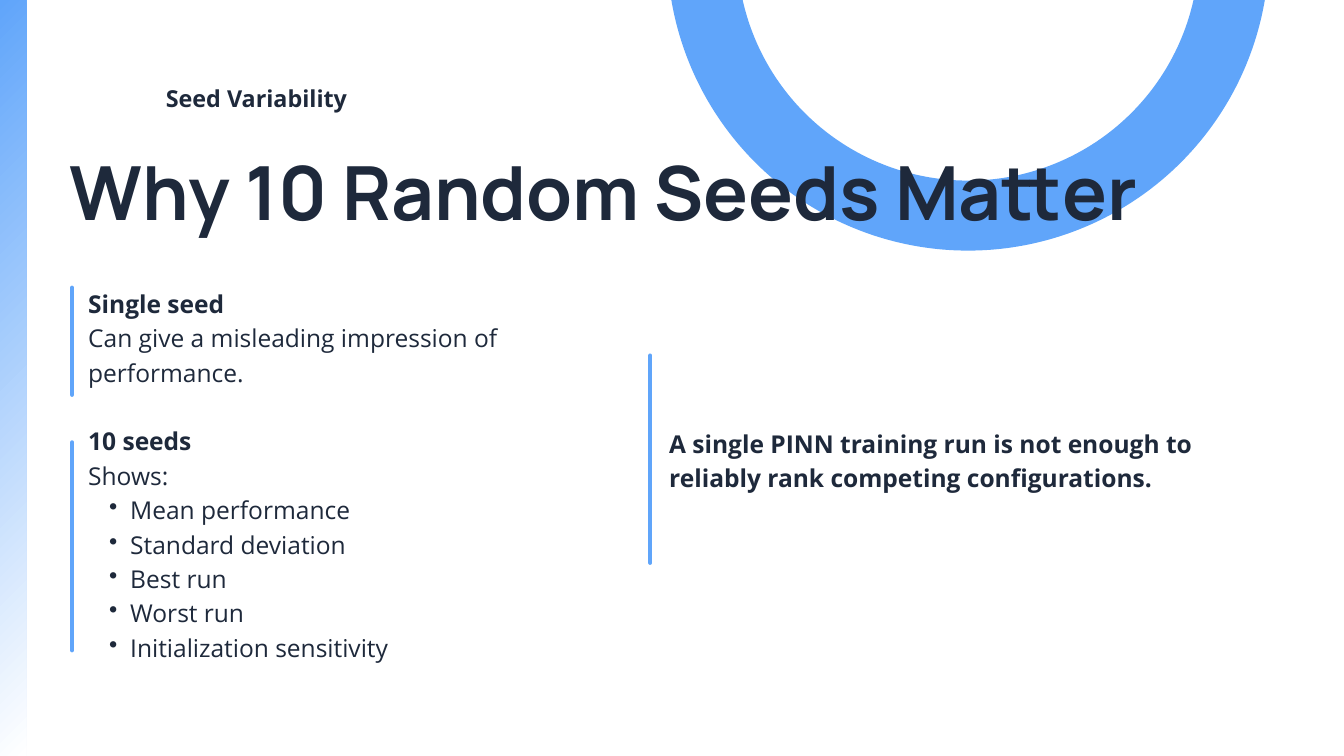
from dataclasses import dataclass

from lxml import etree
from pptx import Presentation
from pptx.dml.color import RGBColor
from pptx.enum.shapes import MSO_CONNECTOR, MSO_SHAPE
from pptx.enum.text import MSO_ANCHOR, PP_ALIGN
from pptx.oxml.ns import qn
from pptx.slide import Slide
from pptx.util import Emu, Pt

STRAIGHT = MSO_CONNECTOR.STRAIGHT
RECTANGLE = MSO_SHAPE.RECTANGLE
OVAL = MSO_SHAPE.OVAL
TOP = MSO_ANCHOR.TOP
LEFT = PP_ALIGN.LEFT

EMU_PER_PX = 9525
SLIDE_WIDTH, SLIDE_HEIGHT = 1920, 1080
BULLET_INDENT, BULLET_HANG = 60, 30

BLUE, WHITE, INK = "60A5FA", "FFFFFF", "1E293B"
HEADING_FONT, BODY_FONT = "Manrope", "Open Sans"


@dataclass(frozen=True)
class Style:
    font: str
    size: float
    line_spacing: float


@dataclass(frozen=True)
class Line:
    text: str
    bold: bool = False
    bullet: bool = False
    space_before: float = 0


@dataclass(frozen=True)
class TextBlock:
    left: int
    top: int
    width: int
    height: int
    style: Style
    lines: tuple[Line, ...]


@dataclass(frozen=True)
class Rule:
    x: int
    top: int
    bottom: int


EYEBROW = Style(BODY_FONT, 25, 35)
TITLE = Style(HEADING_FONT, 80, 78.4)
BODY = Style(BODY_FONT, 26.3, 36.8)

BULLETS = (
    "Mean performance",
    "Standard deviation",
    "Best run",
    "Worst run",
    "Initialization sensitivity",
)

TEXT_BLOCKS = (
    TextBlock(237, 113, 418, 44, EYEBROW, (Line("Seed Variability", bold=True),)),
    TextBlock(99, 232, 1655, 118, TITLE, (Line("Why 10 Random Seeds Matter", bold=True),)),
    TextBlock(126, 406, 665, 586, BODY, (
        Line("Single seed", bold=True),
        Line("Can give a misleading impression of performance."),
        Line("10 seeds", bold=True, space_before=BODY.line_spacing),
        Line("Shows:"),
        *(Line(text, bullet=True) for text in BULLETS),
    )),
    TextBlock(956, 606, 807, 96, BODY, (
        Line("A single PINN training run is not enough to reliably rank "
             "competing configurations.", bold=True),
    )),
)

RULES = (Rule(103, 411, 564), Rule(103, 632, 929), Rule(929, 508, 804))


def px(value: int) -> Emu:
    return Emu(value * EMU_PER_PX)


def color(value: str) -> RGBColor:
    return RGBColor.from_string(value)


def add_side_band(slide: Slide) -> None:
    band = slide.shapes.add_shape(RECTANGLE, 0, 0, px(38), px(SLIDE_HEIGHT))
    band.shadow.inherit = False
    band.line.fill.background()
    band.fill.gradient()
    band.fill.gradient_angle = 315
    for stop, stop_color in zip(band.fill.gradient_stops, (BLUE, WHITE)):
        stop.color.rgb = color(stop_color)


def add_ring(slide: Slide) -> None:
    ring = slide.shapes.add_shape(OVAL, px(1003), px(-452), px(760), px(760))
    ring.shadow.inherit = False
    ring.fill.background()
    ring.line.color.rgb = color(BLUE)
    ring.line.width = Pt(75)


def add_text_block(slide: Slide, block: TextBlock) -> None:
    box = slide.shapes.add_textbox(
        px(block.left), px(block.top), px(block.width), px(block.height))
    frame = box.text_frame
    frame.word_wrap = True
    frame.vertical_anchor = TOP
    frame.margin_left = frame.margin_right = 0
    frame.margin_top = frame.margin_bottom = 0
    for index, line in enumerate(block.lines):
        paragraph = frame.add_paragraph() if index else frame.paragraphs[0]
        paragraph.text = line.text
        paragraph.alignment = LEFT
        paragraph.line_spacing = Pt(block.style.line_spacing)
        if line.space_before:
            paragraph.space_before = Pt(line.space_before)
        if line.bullet:
            paragraph.level = 1
            properties = paragraph._p.get_or_add_pPr()
            properties.set("marL", str(px(BULLET_INDENT)))
            properties.set("indent", str(px(-BULLET_HANG)))
            etree.SubElement(properties, qn("a:buChar")).set("char", "•")
        paragraph.font.name = block.style.font
        paragraph.font.size = Pt(block.style.size)
        paragraph.font.bold = line.bold
        paragraph.font.color.rgb = color(INK)


def add_rule(slide: Slide, rule: Rule) -> None:
    connector = slide.shapes.add_connector(
        STRAIGHT, px(rule.x), px(rule.top), px(rule.x), px(rule.bottom))
    connector.line.color.rgb = color(BLUE)
    connector.line.width = Pt(4.5)
    # Round ends, no shadow
    properties = connector._element.spPr
    properties.find(qn("a:ln")).set("cap", "rnd")
    etree.SubElement(properties, qn("a:effectLst"))


def main() -> None:
    presentation = Presentation()
    presentation.slide_width = px(SLIDE_WIDTH)
    presentation.slide_height = px(SLIDE_HEIGHT)
    slide = presentation.slides.add_slide(presentation.slide_layouts[6])

    # Decoration behind the text
    add_side_band(slide)
    add_ring(slide)

    # Text and its accent rules
    for block in TEXT_BLOCKS:
        add_text_block(slide, block)
    for rule in RULES:
        add_rule(slide, rule)

    presentation.save("out.pptx")


if __name__ == "__main__":
    main()
